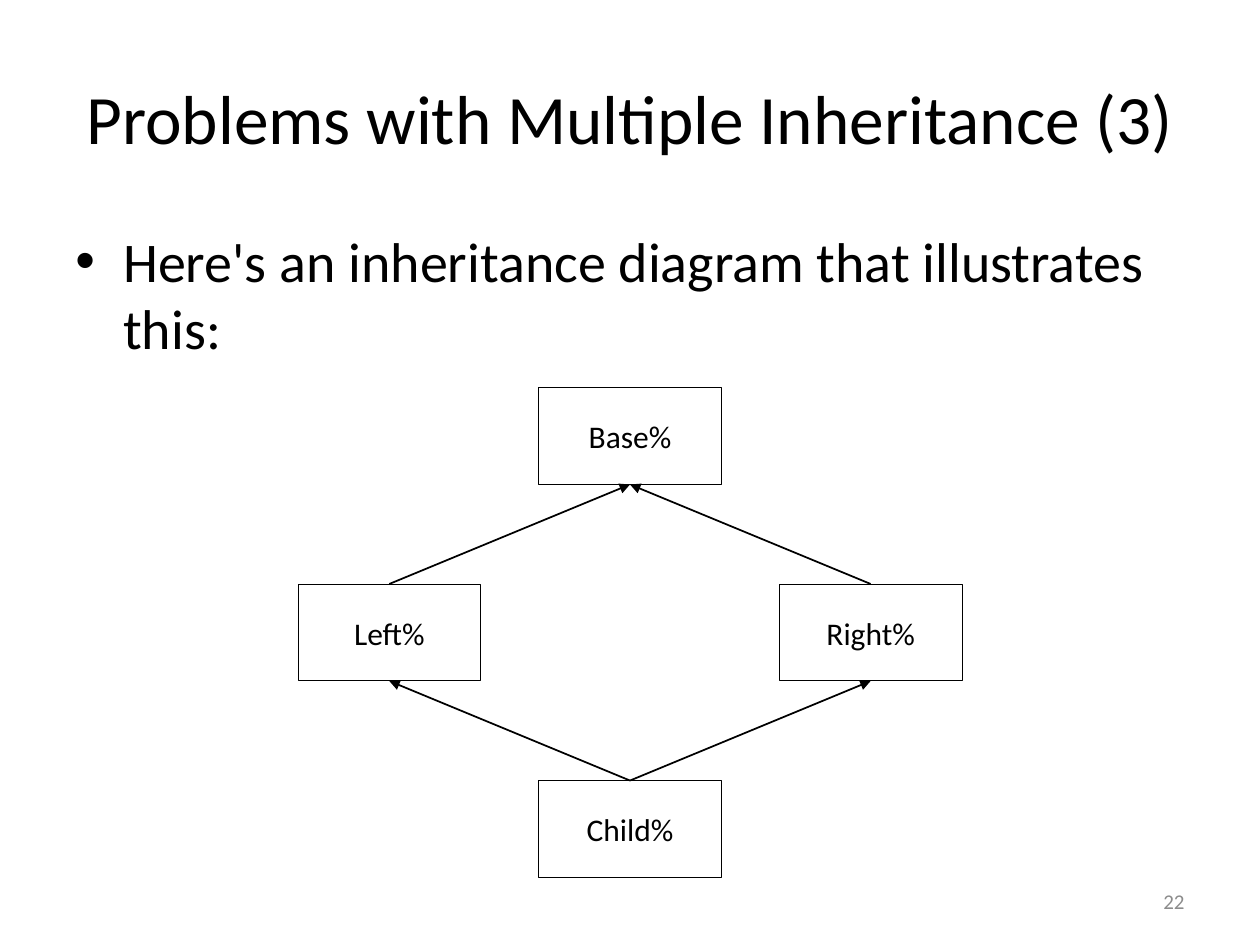
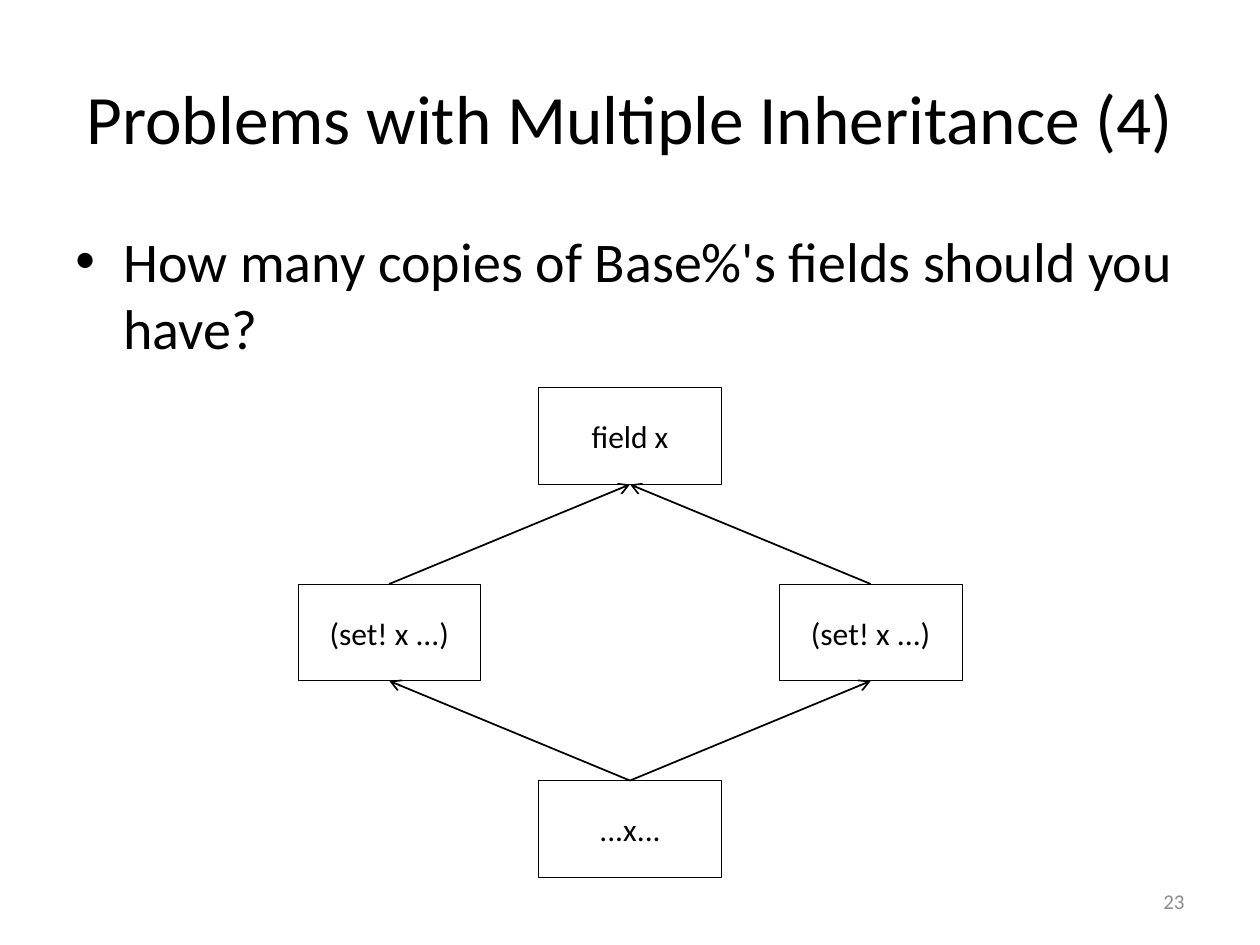
import pptx
import pptx.util
import pptx.dml.color
import pptx.enum.shapes
import pptx.enum.text
import pptx.oxml.ns
import lxml.etree

Inches, Pt = pptx.util.Inches, pptx.util.Pt
RGBColor = pptx.dml.color.RGBColor
ALIGN = pptx.enum.text.PP_ALIGN
ANCHOR = pptx.enum.text.MSO_ANCHOR
qn = pptx.oxml.ns.qn

# Content
DIAGRAM_SLIDES = [
    {
        "title": "Problems with Multiple Inheritance (3)",
        "point": "Here's an inheritance diagram that illustrates this:",
        "classes": {"base": "Base%", "child": "Child%", "left": "Left%", "right": "Right%"},
        "arrowhead": "triangle",
        "number": "22",
    },
    {
        "title": "Problems with Multiple Inheritance (4)",
        "point": "How many copies of Base%'s fields should you have?",
        "classes": {"base": "field x", "child": "...x...",
                    "left": "(set! x ...)", "right": "(set! x ...)"},
        "arrowhead": "arrow",
        "number": "23",
    },
]
INHERITS = [("left", "base"), ("right", "base"), ("child", "left"), ("child", "right")]

# Shared style
FONT = "Calibri"
BLACK = RGBColor(0x00, 0x00, 0x00)
GREY = RGBColor(0x8C, 0x8C, 0x8C)

# Diamond: (column, row) offsets from its centre
CENTRE_X, CENTRE_Y = 5, 5.02
STEP_X, STEP_Y = 1.91, 1.56
CLASS_W, CLASS_H = 1.45, 0.77
DIAMOND = {"base": (0, -1), "child": (0, 1), "left": (-1, 0), "right": (1, 0)}
TOP, BOTTOM = 0, 2


def write(shape, text, size, color=BLACK, align=ALIGN.LEFT, anchor=ANCHOR.MIDDLE, bullet=False):
    frame = shape.text_frame
    frame.word_wrap = True
    frame.auto_size = pptx.enum.text.MSO_AUTO_SIZE.NONE
    frame.vertical_anchor = anchor
    paragraph = frame.paragraphs[0]
    paragraph.text = text
    paragraph.alignment = align
    if bullet:
        properties = paragraph._p.get_or_add_pPr()
        properties.set("marL", str(Inches(0.38)))
        properties.set("indent", str(-Inches(0.38)))
        lxml.etree.SubElement(properties, qn("a:buFont")).set("typeface", "Arial")
        lxml.etree.SubElement(properties, qn("a:buChar")).set("char", "•")
    font = paragraph.font
    font.name, font.size, font.color.rgb = FONT, Pt(size), color


def add_class(slide, label, column, row):
    box = slide.shapes.add_shape(
        pptx.enum.shapes.MSO_SHAPE.RECTANGLE,
        Inches(CENTRE_X + column * STEP_X - CLASS_W / 2),
        Inches(CENTRE_Y + row * STEP_Y - CLASS_H / 2),
        Inches(CLASS_W), Inches(CLASS_H))
    box.shadow.inherit = False
    box.fill.background()
    box.line.color.rgb, box.line.width = BLACK, Pt(0.5)
    write(box, label, 18, align=ALIGN.CENTER)
    return box


def add_inheritance(slide, subclass, superclass, arrowhead):
    arrow = slide.shapes.add_connector(pptx.enum.shapes.MSO_CONNECTOR.STRAIGHT, 0, 0, 0, 0)
    arrow.begin_connect(subclass, TOP)
    arrow.end_connect(superclass, BOTTOM)
    arrow.line.color.rgb, arrow.line.width = BLACK, Pt(1)
    lxml.etree.SubElement(arrow.line._get_or_add_ln(), qn("a:tailEnd")).set("type", arrowhead)
    lxml.etree.SubElement(arrow._element.spPr, qn("a:effectLst"))


def add_diagram_slide(deck, content):
    slide = deck.slides.add_slide(deck.slide_layouts[5])

    # Title and point
    title = slide.shapes.title
    title.left, title.top = Inches(0.5), Inches(0.3)
    title.width, title.height = Inches(9), Inches(1.25)
    write(title, content["title"], 39.6, align=ALIGN.CENTER)
    point = slide.shapes.add_textbox(Inches(0.5), Inches(1.75), Inches(9), Inches(4.95))
    write(point, content["point"], 32, anchor=ANCHOR.TOP, bullet=True)

    # Inheritance diagram
    classes = {role: add_class(slide, label, *DIAMOND[role])
               for role, label in content["classes"].items()}
    for subclass, superclass in INHERITS:
        add_inheritance(slide, classes[subclass], classes[superclass], content["arrowhead"])

    # Slide number
    number = slide.shapes.add_textbox(Inches(7.17), Inches(6.95), Inches(2.33), Inches(0.4))
    write(number, content["number"], 12, color=GREY, align=ALIGN.RIGHT)


def main():
    deck = pptx.Presentation()
    deck.slide_width, deck.slide_height = Inches(10), Inches(7.5)
    for content in DIAGRAM_SLIDES:
        add_diagram_slide(deck, content)
    deck.save("out.pptx")


if __name__ == "__main__":
    main()
